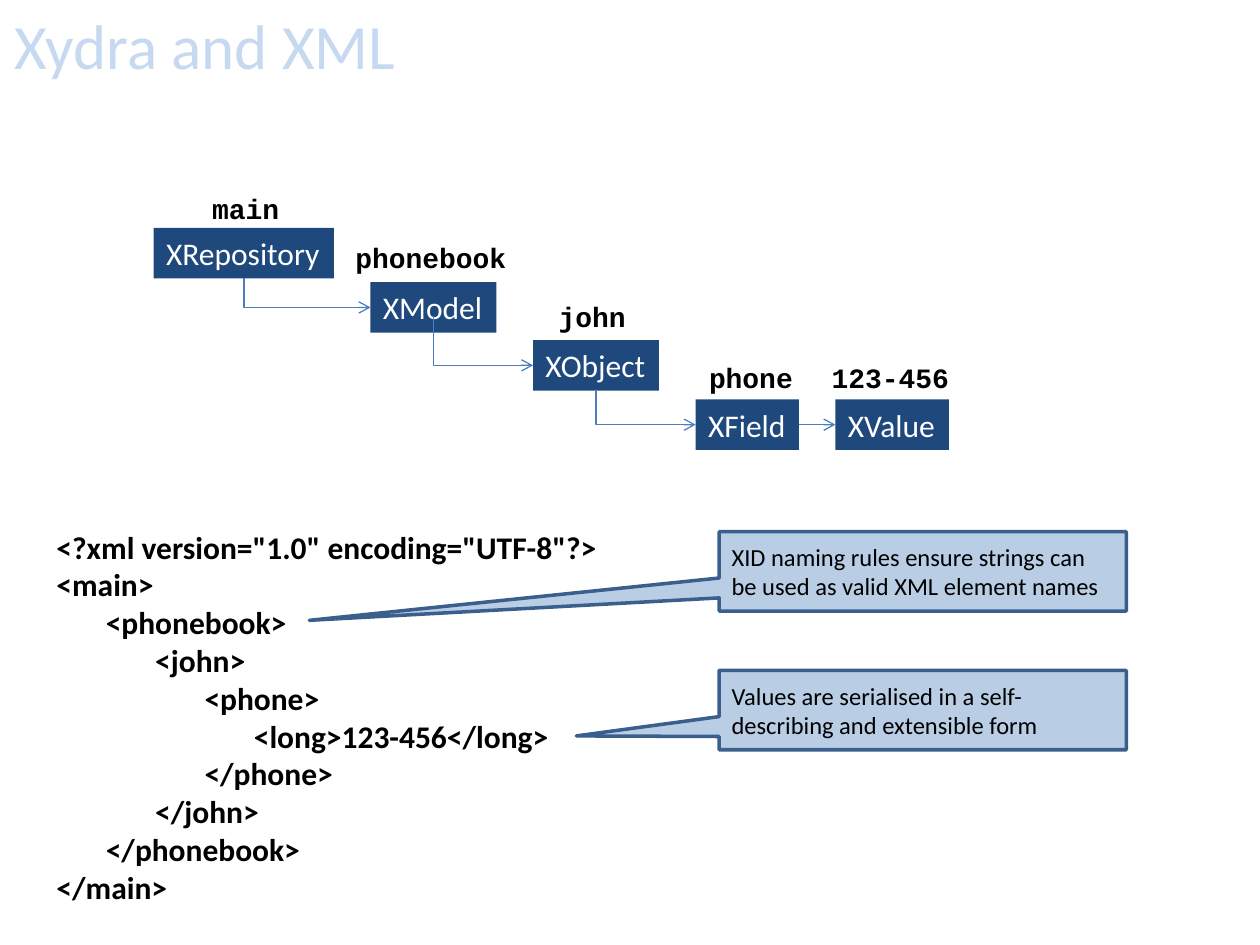
from dataclasses import dataclass
from lxml import etree
from pptx import Presentation
from pptx.dml.color import RGBColor
from pptx.enum import shapes, text
from pptx.oxml import ns
from pptx.util import Pt

NAVY = RGBColor(0x1F, 0x49, 0x7D)
BLUE = RGBColor(0x4B, 0x7E, 0xBC)
EDGE = RGBColor(0x3A, 0x5F, 0x8C)
PALE = RGBColor(0xB9, 0xCD, 0xE5)
SKY = RGBColor(0xC6, 0xD9, 0xF1)
WHITE = RGBColor(0xFF, 0xFF, 0xFF)
BLACK = RGBColor(0, 0, 0)

HEAD = {"name": "Calibri", "size": Pt(36), "bold": False}
NODE = {"name": "Calibri", "size": Pt(18)}
NAME = {"name": "Courier New", "size": Pt(16), "bold": True}
CODE = {"name": "Calibri", "size": Pt(18), "bold": True}
NOTE = {"name": "Calibri", "size": Pt(14)}

BOX_H = 28.8
LABEL_H = 26.6
TAB = 28.2


@dataclass
class Node:
    kind: str
    left: float
    top: float
    wide: float
    label: str
    mid: float
    high: float
    span: float


@dataclass
class Callout:
    words: str
    top: float
    tip: tuple


NODES = [
    Node("XRepository", 87.84, 130.3, 103, "main", 140.4, 105.84, 53.3),
    Node("XModel", 211.7, 161.3, 72, "phonebook", 246.2, 133.9, 102.2),
    Node("XObject", 304.6, 194.4, 72, "john", 338.4, 167.76, 53.3),
    Node("XField", 397.5, 228.3, 59, "phone", 429.1, 202.3, 63.4),
    Node("XValue", 477.4, 228.3, 64.8, "123-456", 508.7, 202.3, 82.8),
]
STARTS = [159.1, 180.7, 223.2]
NOTES = [
    Callout("XID naming rules ensure strings can be used as valid XML element names",
            303.84, (-1.507, 0.616)),
    Callout("Values are serialised in a self-describing and extensible form",
            383.04, (-0.851, 0.326)),
]
LINES = [
    '<?xml version="1.0" encoding="UTF-8"?>',
    "<main>",
    "\t<phonebook>",
    "\t\t<john>",
    "\t\t\t<phone>",
    "\t\t\t\t<long>123-456</long>",
    "\t\t\t</phone>",
    "\t\t</john>",
    "\t</phonebook>",
    "</main>",
]


def write(para, words: str, form: dict, color: RGBColor, align=text.PP_ALIGN.LEFT) -> None:
    para.alignment = align
    run = para.add_run()
    run.text = words
    for key, value in form.items():
        setattr(run.font, key, value)
    run.font.color.rgb = color


def fit(frame, wrap: bool = False) -> None:
    frame.word_wrap = wrap
    frame.auto_size = text.MSO_AUTO_SIZE.SHAPE_TO_FIT_TEXT
    frame.vertical_anchor = text.MSO_ANCHOR.TOP


def draw_node(slide, node: Node):
    box = slide.shapes.add_shape(
        shapes.MSO_SHAPE.RECTANGLE, Pt(node.left), Pt(node.top), Pt(node.wide), Pt(BOX_H))
    box.shadow.inherit = False
    box.fill.solid()
    box.fill.fore_color.rgb = NAVY
    box.line.fill.background()
    fit(box.text_frame)
    write(box.text_frame.paragraphs[0], node.kind, NODE, WHITE)
    label = slide.shapes.add_textbox(
        Pt(node.mid - node.span / 2), Pt(node.high), Pt(node.span), Pt(LABEL_H))
    fit(label.text_frame)
    write(label.text_frame.paragraphs[0], node.label, NAME, BLACK, text.PP_ALIGN.CENTER)
    return box


def style(link) -> None:
    link.line.color.rgb = BLUE
    link.line.width = Pt(0.75)
    etree.SubElement(link.line._get_or_add_ln(), ns.qn("a:tailEnd"), type="arrow")
    etree.SubElement(link._element.spPr, ns.qn("a:effectLst"))


def draw_bend(slide, start: float, src: Node, dest: Node) -> None:
    x = src.left + src.wide / 2
    end = dest.top + BOX_H / 2
    run, drop = dest.left - x, end - start
    mid_x, mid_y = x + run / 2, start + drop / 2
    link = slide.shapes.add_connector(
        shapes.MSO_CONNECTOR.ELBOW,
        Pt(mid_x + drop / 2), Pt(mid_y - run / 2),
        Pt(mid_x - drop / 2), Pt(mid_y + run / 2))
    prop = link._element.spPr
    prop.find(ns.qn("a:xfrm")).set("rot", "16200000")
    prop.find(ns.qn("a:prstGeom")).set("prst", "bentConnector2")
    style(link)


def draw_link(slide, src, dest) -> None:
    link = slide.shapes.add_connector(shapes.MSO_CONNECTOR.STRAIGHT, 0, 0, 0, 0)
    link.begin_connect(src, 3)
    link.end_connect(dest, 1)
    style(link)


def draw_title(slide) -> None:
    title = slide.shapes.title
    title.left, title.top, title.width, title.height = 0, 0, Pt(234), Pt(51)
    fit(title.text_frame)
    write(title.text_frame.paragraphs[0], "Xydra and XML", HEAD, SKY, text.PP_ALIGN.CENTER)


def draw_code(slide) -> None:
    frame = slide.shapes.add_textbox(Pt(25.2), Pt(298), Pt(329), Pt(225.4)).text_frame
    fit(frame, True)
    for i, line in enumerate(LINES):
        para = frame.add_paragraph() if i else frame.paragraphs[0]
        tabs = etree.SubElement(para._p.get_or_add_pPr(), ns.qn("a:tabLst"))
        for stop in range(1, 5):
            etree.SubElement(tabs, ns.qn("a:tab"), pos=str(Pt(TAB * stop)), algn="l")
        write(para, line, CODE, BLACK)


def draw_note(slide, note: Callout) -> None:
    box = slide.shapes.add_shape(
        shapes.MSO_SHAPE.RECTANGULAR_CALLOUT, Pt(411), Pt(note.top), Pt(232.6), Pt(45.4))
    box.shadow.inherit = False
    box.fill.solid()
    box.fill.fore_color.rgb = PALE
    box.line.color.rgb = EDGE
    box.line.width = Pt(2)
    for i, value in enumerate(note.tip):
        box.adjustments[i] = value
    box.text_frame.word_wrap = True
    box.text_frame.vertical_anchor = text.MSO_ANCHOR.MIDDLE
    write(box.text_frame.paragraphs[0], note.words, NOTE, BLACK)


def main() -> None:
    deck = Presentation()
    deck.slide_width, deck.slide_height = Pt(720), Pt(540)
    slide = deck.slides.add_slide(deck.slide_layouts[5])
    draw_title(slide)
    boxes = [draw_node(slide, node) for node in NODES]
    for start, src, dest in zip(STARTS, NODES, NODES[1:]):
        draw_bend(slide, start, src, dest)
    draw_link(slide, boxes[3], boxes[4])
    draw_code(slide)
    for note in NOTES:
        draw_note(slide, note)
    deck.save("out.pptx")


if __name__ == "__main__":
    main()
